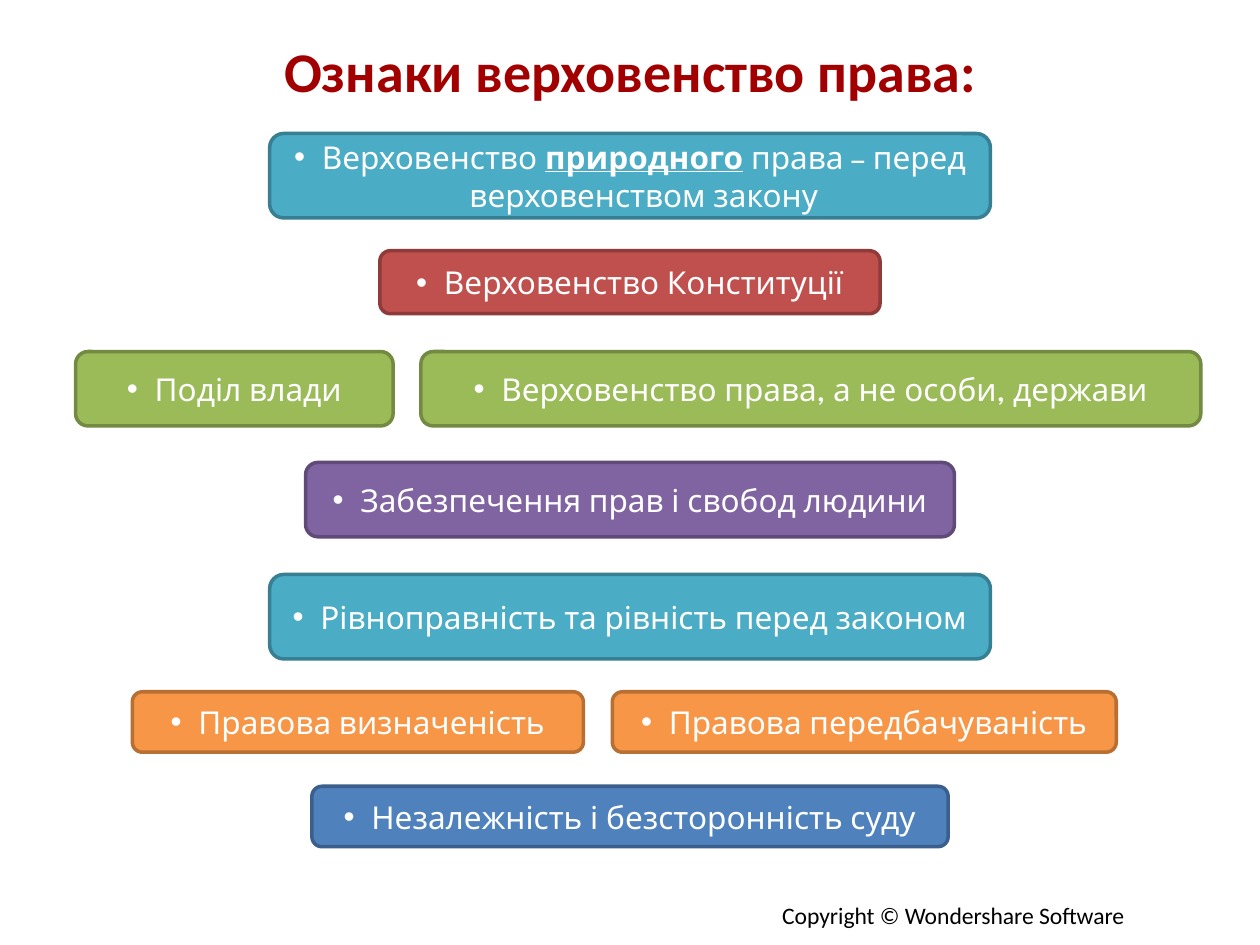
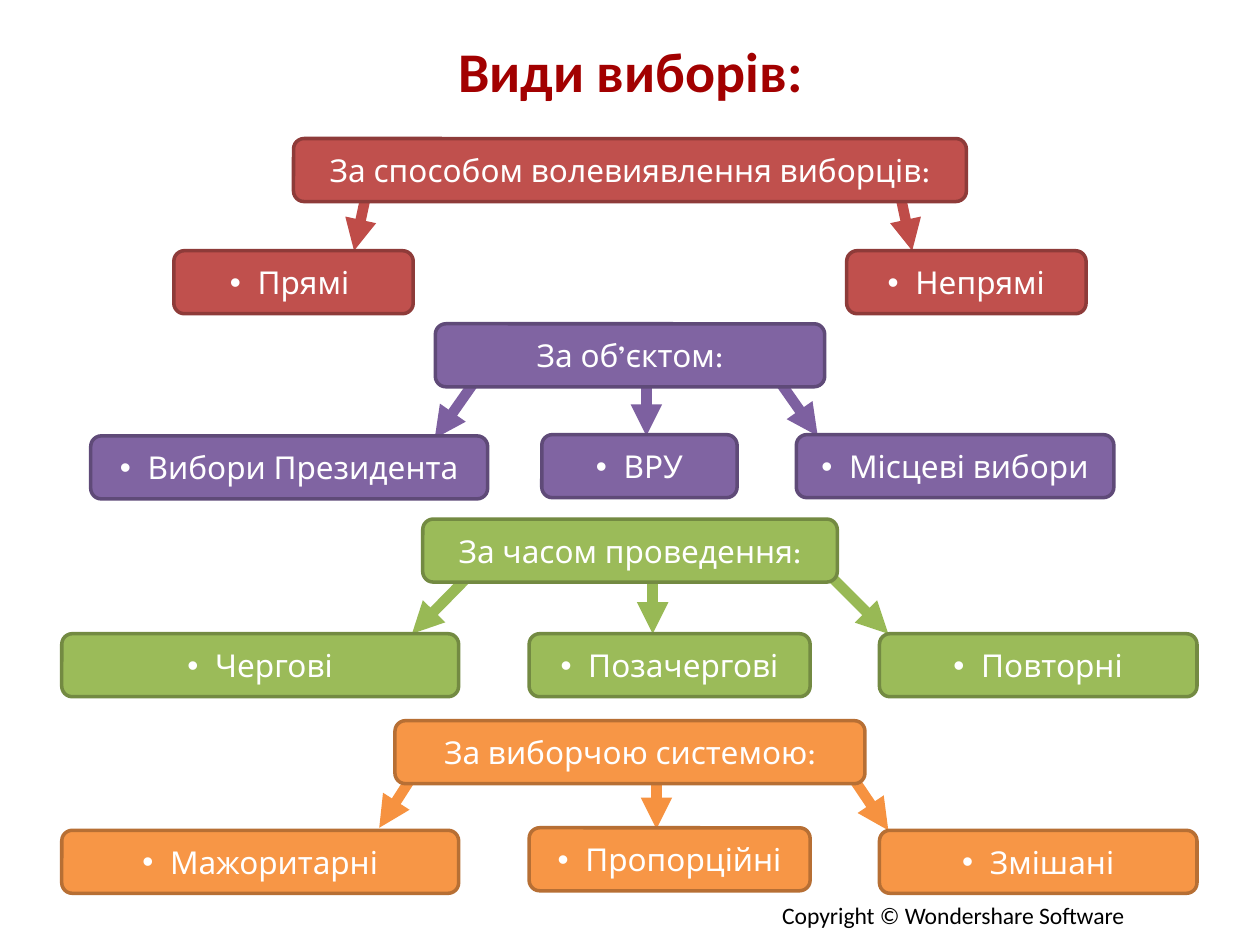
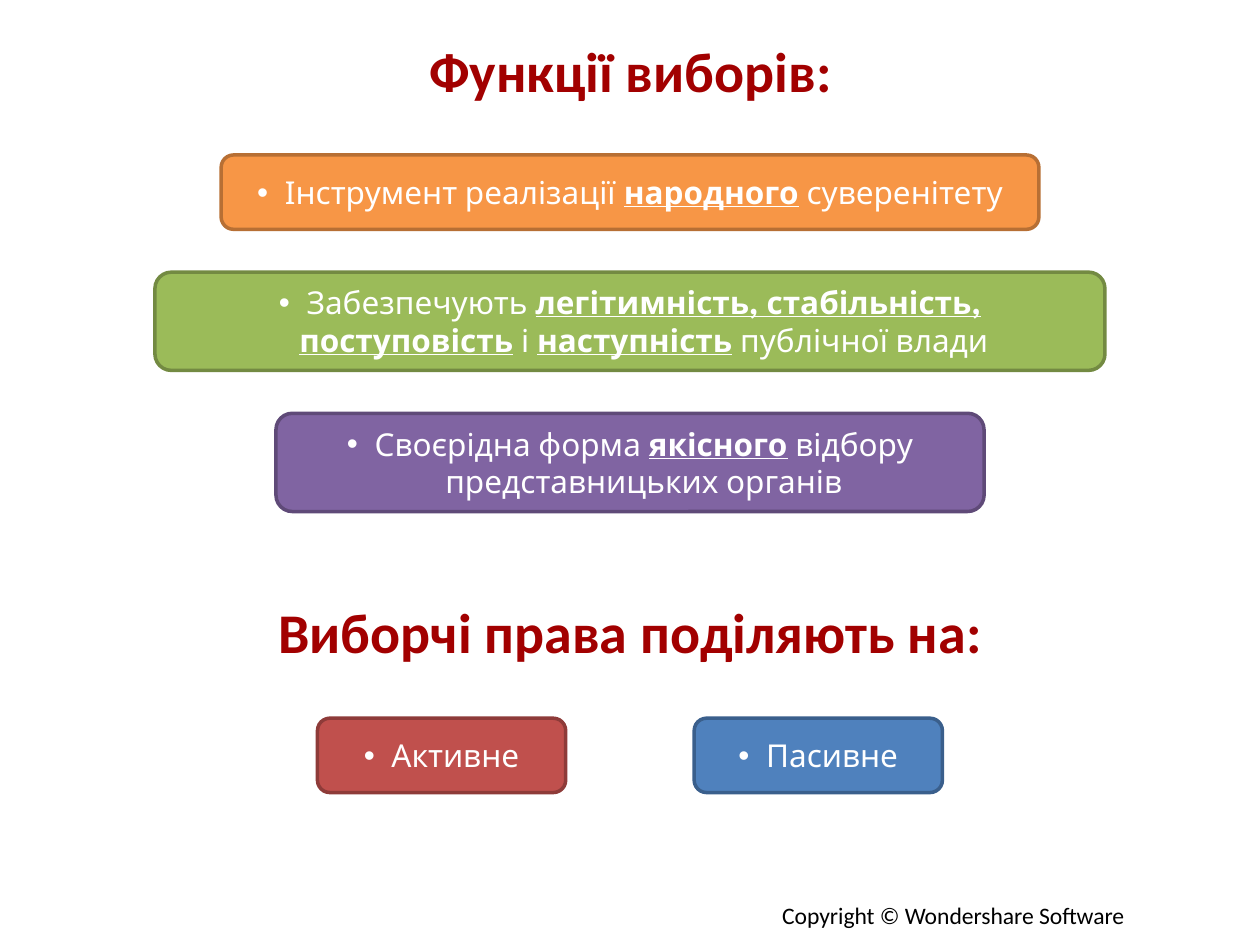
from typing import NamedTuple

from lxml.etree import SubElement
from pptx import Presentation
from pptx.dml.color import RGBColor
from pptx.enum.shapes import MSO_CONNECTOR, MSO_SHAPE
from pptx.enum.text import MSO_ANCHOR, MSO_AUTO_SIZE, PP_ALIGN
from pptx.oxml.ns import qn
from pptx.slide import Slide
from pptx.util import Inches, Pt

WHITE = RGBColor(0xFF, 0xFF, 0xFF)
BLACK = RGBColor(0x00, 0x00, 0x00)
CRIMSON = RGBColor(0xA2, 0x00, 0x00)
HEAD_FONT = "Calibri"
BODY_FONT = "League Spartan"
WIDTH = 10
LOW, MID, TALL = 0.5, 0.59, 0.67


class Tone(NamedTuple):
    fill: RGBColor
    edge: RGBColor
    arrow: RGBColor


RED = Tone(RGBColor(0xC0, 0x50, 0x4D), RGBColor(0x8E, 0x3B, 0x39), RGBColor(0xBF, 0x4C, 0x48))
GREEN = Tone(RGBColor(0x9B, 0xBB, 0x59), RGBColor(0x73, 0x8A, 0x42), RGBColor(0x98, 0xB9, 0x55))
PURPLE = Tone(RGBColor(0x80, 0x64, 0xA2), RGBColor(0x5F, 0x4A, 0x78), RGBColor(0x7D, 0x60, 0xA0))
ORANGE = Tone(RGBColor(0xF7, 0x96, 0x46), RGBColor(0xB7, 0x6F, 0x34), RGBColor(0xF6, 0x92, 0x40))
TEAL = Tone(RGBColor(0x4B, 0xAC, 0xC6), RGBColor(0x37, 0x7F, 0x92), RGBColor(0x46, 0xAA, 0xC5))
BLUE = Tone(RGBColor(0x4F, 0x81, 0xBD), RGBColor(0x3A, 0x5F, 0x8C), RGBColor(0x4A, 0x7E, 0xBB))


class Box(NamedTuple):
    """A rounded box; without a left edge it is centred on the slide."""
    text: str
    tone: Tone
    top: float
    width: float
    height: float = LOW
    left: float | None = None
    bullet: bool = True


class Arrow(NamedTuple):
    x1: float
    y1: float
    x2: float
    y2: float


class Kind(NamedTuple):
    """One way of sorting elections: its heading, its members and arrows."""
    head: Box
    items: list[Box]
    arrows: list[Arrow]


def kind(text: str, tone: Tone, top: float, width: float,
         items: list[tuple[str, float, float, float]], arrows: list[Arrow]) -> Kind:
    """Items are given as text, left, top and width."""
    boxes = [Box(name, tone, y, w, left=x) for name, x, y, w in items]
    return Kind(Box(text, tone, top, width, bullet=False), boxes, arrows)


FEATURES = [
    Box("Верховенство *природного* права – перед верховенством закону", TEAL, 1.06, 5.72, TALL),
    Box("Верховенство Конституції", RED, 1.99, 3.97),
    Box("Поділ влади", GREEN, 2.79, 2.52, MID, 0.6),
    Box("Верховенство права, а не особи, держави", GREEN, 2.79, 6.19, MID, 3.34),
    Box("Забезпечення прав і свобод людини", PURPLE, 3.67, 5.15, MID),
    Box("Рівноправність та рівність перед законом", TEAL, 4.56, 5.72, TALL),
    Box("Правова визначеність", ORANGE, 5.49, 3.58, 0.48, 1.05),
    Box("Правова передбачуваність", ORANGE, 5.49, 4, 0.48, 4.86),
    Box("Незалежність і безсторонність суду", BLUE, 6.24, 5.05, 0.48),
]

KINDS = [
    kind("За способом волевиявлення виборців:", RED, 1.1, 5.34,
         [("Прямі ", 1.38, 1.99, 1.9), ("Непрямі", 6.72, 1.99, 1.9)],
         [Arrow(2.95, 1.34, 2.81, 1.99), Arrow(7.1, 1.34, 7.24, 1.99)]),
    kind("За об’єктом:", PURPLE, 2.57, 3.09,
         [("Вибори Президента", 0.72, 3.46, 3.15), ("ВРУ", 4.3, 3.45, 1.55),
          ("Місцеві вибори", 6.32, 3.45, 2.52)],
         [Arrow(3.78, 3.01, 3.45, 3.48), Arrow(5.13, 3.03, 5.13, 3.46),
          Arrow(6.16, 2.99, 6.49, 3.46)]),
    kind("За часом проведення:", GREEN, 4.12, 3.29,
         [("Чергові", 0.49, 5.03, 3.15), ("Позачергові", 4.2, 5.03, 2.23),
          ("Повторні", 6.98, 5.03, 2.52)],
         [Arrow(3.79, 4.5, 3.27, 5.03), Arrow(5.18, 4.4, 5.18, 5.03),
          Arrow(6.54, 4.52, 7.05, 5.03)]),
    kind("За виборчою системою:", ORANGE, 5.72, 3.73,
         [("Мажоритарні", 0.49, 6.59, 3.15), ("Пропорційні", 4.2, 6.57, 2.23),
          ("Змішані", 6.98, 6.59, 2.52)],
         [Arrow(3.35, 6.04, 3.01, 6.57), Arrow(5.21, 6.04, 5.21, 6.58),
          Arrow(6.72, 6.1, 7.05, 6.59)]),
]

ROLES = [
    Box("Інструмент реалізації *народного* суверенітету", ORANGE, 1.23, 6.49, MID),
    Box("Забезпечують *легітимність, стабільність, поступовість* і *наступність* публічної влади",
        GREEN, 2.16, 7.54, 0.78),
    Box("Своєрідна форма *якісного* відбору представницьких органів", PURPLE, 3.28, 5.62, 0.78),
]

RIGHTS = [
    Box("Активне", RED, 5.7, 1.97, MID, 2.52),
    Box("Пасивне", BLUE, 5.7, 1.97, MID, 5.51),
]


def add_title(slide: Slide, text: str, top: float = 0.22) -> None:
    frame = slide.shapes.add_textbox(Inches(1.44), Inches(top), Inches(7.13), Inches(0.68)).text_frame
    frame.word_wrap = True
    frame.vertical_anchor = MSO_ANCHOR.MIDDLE
    frame.text = text
    line = frame.paragraphs[0]
    line.alignment = PP_ALIGN.CENTER
    font = line.runs[0].font
    font.name, font.size, font.bold = HEAD_FONT, Pt(32), True
    font.color.rgb = CRIMSON


def add_footer(slide: Slide) -> None:
    frame = slide.shapes.add_textbox(Inches(6.11), Inches(7.1), Inches(2.97), Inches(0.33)).text_frame
    frame.word_wrap = False
    frame.auto_size = MSO_AUTO_SIZE.SHAPE_TO_FIT_TEXT
    frame.text = "Copyright © Wondershare Software"
    font = frame.paragraphs[0].runs[0].font
    font.name, font.size = HEAD_FONT, Pt(13.5)
    font.color.rgb = BLACK


def add_box(slide: Slide, box: Box) -> None:
    """Draw a box; text between asterisks is bold and underlined."""
    left = (WIDTH - box.width) / 2 if box.left is None else box.left
    shape = slide.shapes.add_shape(MSO_SHAPE.ROUNDED_RECTANGLE, Inches(left), Inches(box.top),
                                   Inches(box.width), Inches(box.height))
    shape.shadow.inherit = False
    shape.fill.solid()
    shape.fill.fore_color.rgb = box.tone.fill
    shape.line.color.rgb = box.tone.edge
    shape.line.width = Pt(2)
    frame = shape.text_frame
    frame.word_wrap = True
    frame.vertical_anchor = MSO_ANCHOR.MIDDLE
    line = frame.paragraphs[0]
    line.alignment = PP_ALIGN.CENTER
    if box.bullet:
        props = line._p.get_or_add_pPr()
        props.set("marL", str(Inches(0.22)))
        props.set("indent", str(Inches(-0.22)))
        SubElement(props, qn("a:buFont"), typeface="Arial")
        SubElement(props, qn("a:buChar"), char="•")
    for i, part in enumerate(box.text.split("*")):
        run = line.add_run()
        run.text = part
        font = run.font
        font.name, font.size = BODY_FONT, Pt(18)
        font.color.rgb = WHITE
        font.bold = font.underline = i % 2 == 1


def add_arrow(slide: Slide, arrow: Arrow, color: RGBColor) -> None:
    link = slide.shapes.add_connector(MSO_CONNECTOR.STRAIGHT, *(Inches(n) for n in arrow))
    link.line.color.rgb = color
    link.line.width = Pt(6)
    SubElement(link.line._get_or_add_ln(), qn("a:tailEnd"), type="triangle")
    SubElement(link._element.spPr, qn("a:effectLst"))


def main() -> None:
    deck = Presentation()
    deck.slide_width, deck.slide_height = Inches(WIDTH), Inches(7.5)

    def new_slide(title: str) -> Slide:
        slide = deck.slides.add_slide(deck.slide_layouts[6])
        add_footer(slide)
        add_title(slide, title)
        return slide

    slide = new_slide("Ознаки верховенство права:")
    for box in FEATURES:
        add_box(slide, box)

    slide = new_slide("Види виборів:")
    for group in KINDS:
        for arrow in group.arrows:
            add_arrow(slide, arrow, group.head.tone.arrow)
        for box in [group.head, *group.items]:
            add_box(slide, box)

    slide = new_slide("Функції виборів:")
    add_title(slide, "Виборчі права поділяють на:", 4.67)
    for box in ROLES + RIGHTS:
        add_box(slide, box)

    deck.save("out.pptx")


if __name__ == "__main__":
    main()
